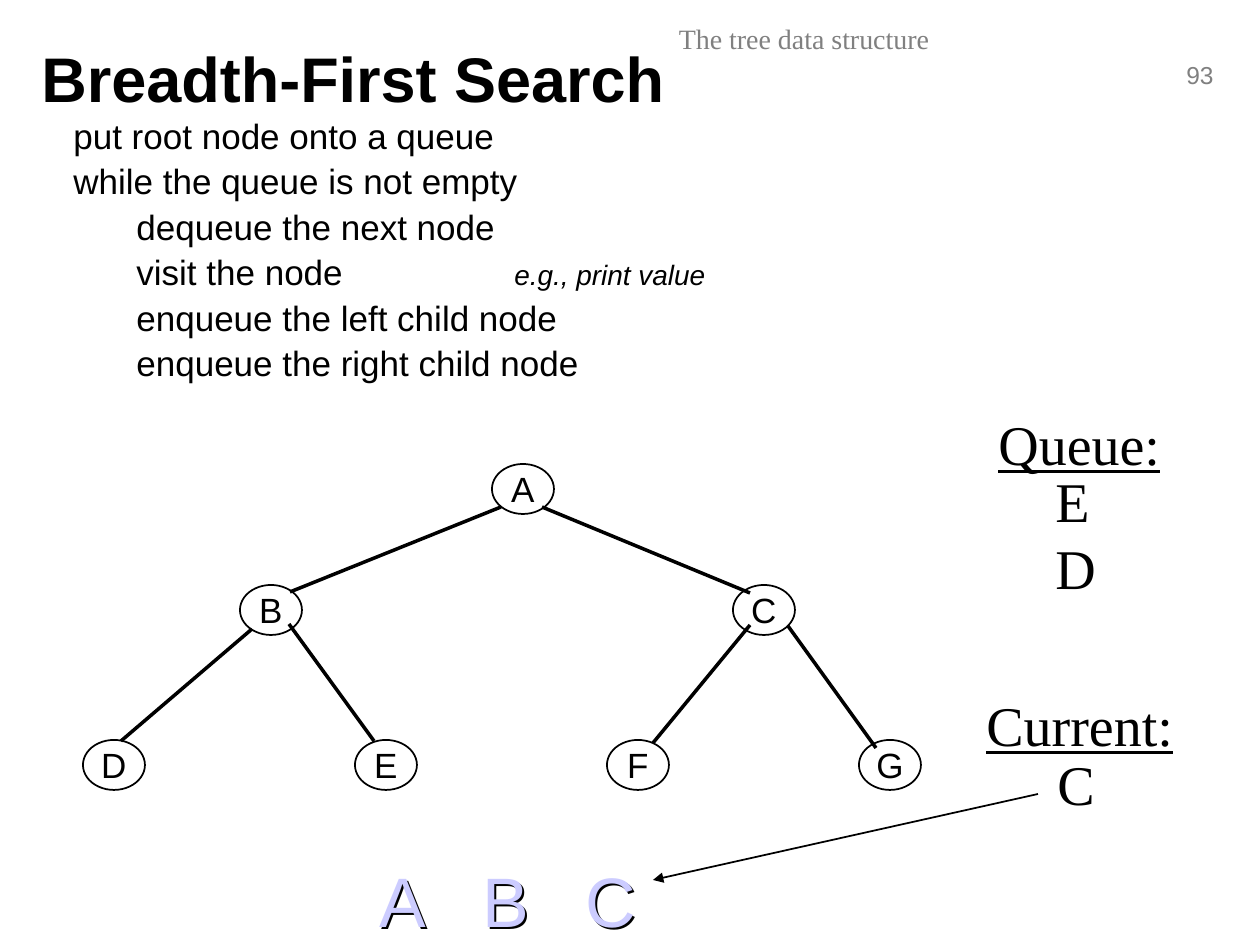
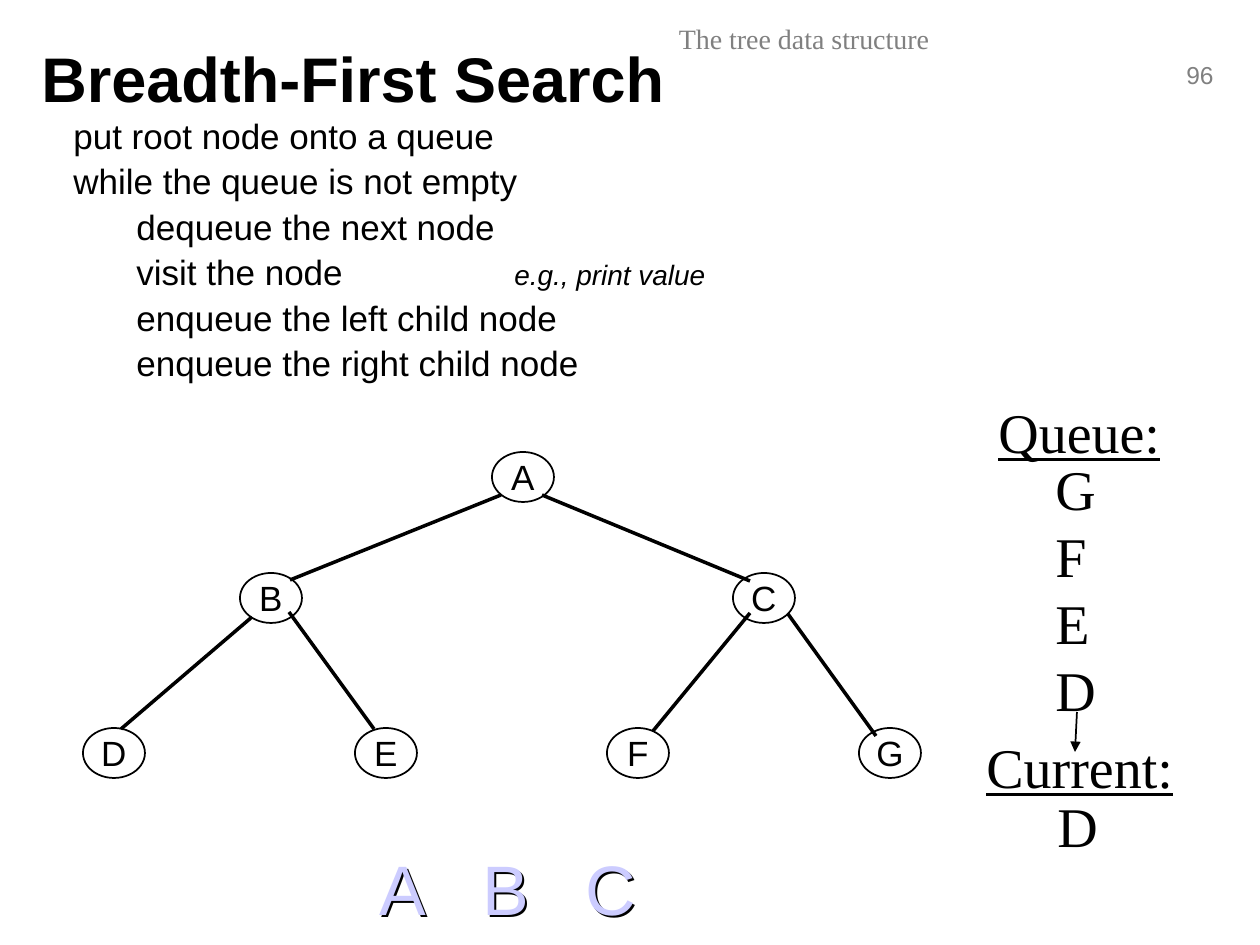
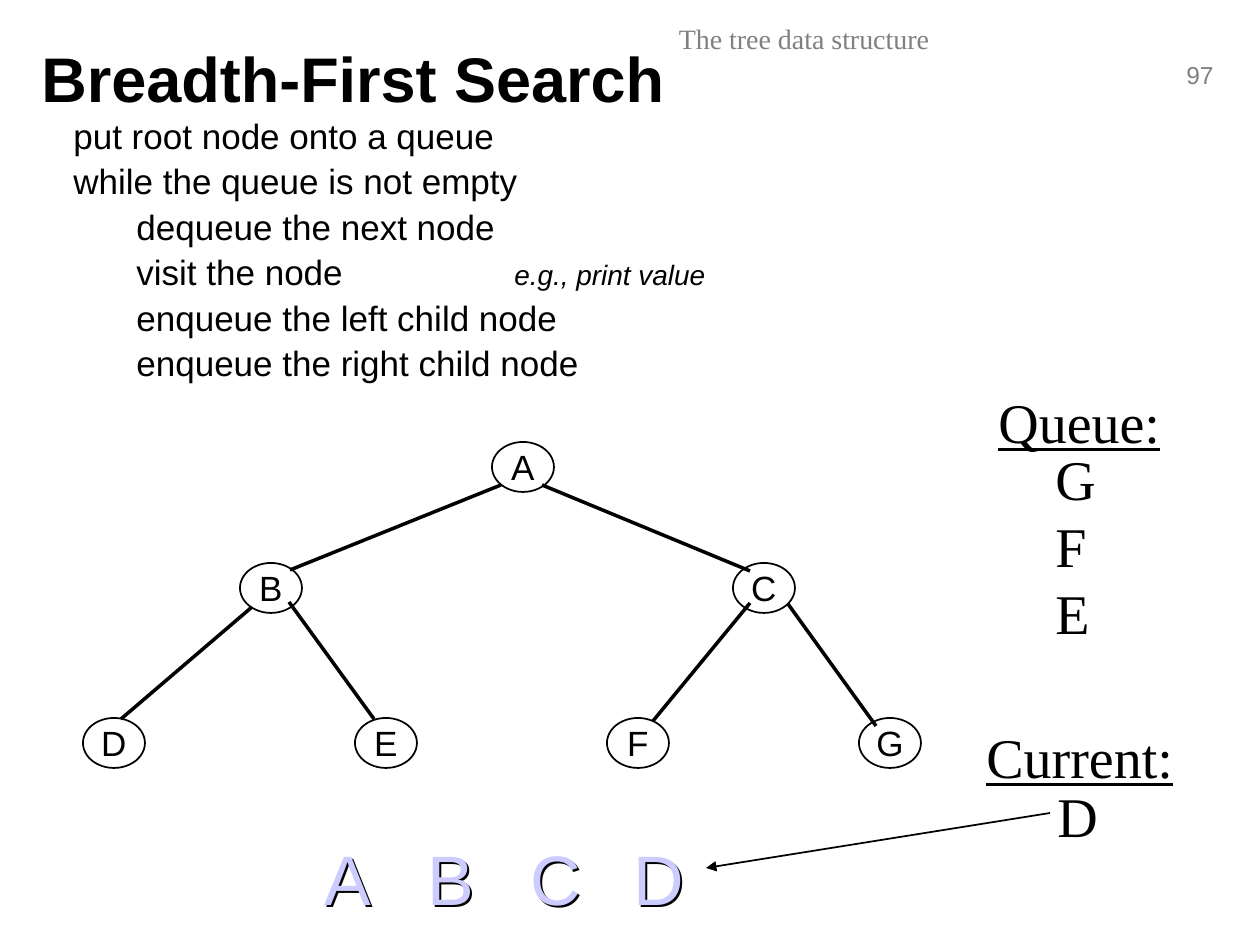
from lxml import etree
from pptx import Presentation
from pptx.dml.color import RGBColor
from pptx.enum.shapes import MSO_CONNECTOR, MSO_SHAPE
from pptx.enum.text import MSO_ANCHOR, MSO_AUTO_SIZE, PP_ALIGN
from pptx.oxml.ns import qn
from pptx.util import Pt

PX = 914400 / 126
COLORS = {"ink": "000000", "paper": "FFFFFF", "muted": "808080", "visited": "CCCCFF"}
SANS, SERIF = "Arial", "Times New Roman"
STRAIGHT = MSO_CONNECTOR.STRAIGHT
ELLIPSE = MSO_SHAPE.OVAL
LEFT, CENTER, RIGHT = PP_ALIGN.LEFT, PP_ALIGN.CENTER, PP_ALIGN.RIGHT
TOP, MIDDLE = MSO_ANCHOR.TOP, MSO_ANCHOR.MIDDLE
GROW = MSO_AUTO_SIZE.SHAPE_TO_FIT_TEXT

NODE_WIDTH, NODE_HEIGHT = 62, 50
LEVELS = (0, 121, 276)
NODES = {
    "A": (492, 0), "B": (240, 1), "C": (733, 1),
    "D": (83, 2), "E": (355, 2), "F": (607, 2), "G": (859, 2),
}
EDGES = (
    ((501, 43), (290, 128)),
    ((542, 43), (750, 129)),
    ((252, 165), (121, 277)),
    ((750, 161), (653, 279)),
    ((788, 162), (876, 284)),
    ((289, 160), (374, 277)),
)
INDENT, TAB_SIZE = 63, 126
VISITED_PITCH = 103
PSEUDOCODE = (
    (1, "put root node onto a queue", ""),
    (1, "while the queue is not empty", ""),
    (2, "dequeue the next node", ""),
    (2, "visit the node\t\t", "e.g., print value"),
    (2, "enqueue the left child node", ""),
    (2, "enqueue the right child node", ""),
)
STEPS = (
    {"page": "93", "tree_top": 464, "queue": "ED", "current": "C", "current_top": 684,
     "visited": "ABC", "visited_box": (367, 286), "arrow": ((1038, 794), (653, 880))},
    {"page": "96", "tree_top": 452, "queue": "GFED", "current": "D", "current_top": 726,
     "visited": "ABC", "visited_box": (367, 286), "arrow": ((1077, 712), (1075, 752))},
    {"page": "97", "tree_top": 442, "queue": "GFE", "current": "D", "current_top": 716,
     "visited": "ABCD", "visited_box": (312, 394), "arrow": ((1050, 813), (706, 868))},
)


def emu(px):
    return round(px * PX)


def rgb(name):
    return RGBColor.from_string(COLORS[name])


def add_run(paragraph, text, size, font=SANS, color="ink", bold=False, italic=False, underline=False):
    run = paragraph.add_run()
    run.text = text
    run.font.size = Pt(size)
    run.font.name = font
    run.font.bold = bold
    run.font.italic = italic
    run.font.underline = underline
    run.font.color.rgb = rgb(color)


def add_box(slide, box, wrap=False, anchor=TOP):
    text_box = slide.shapes.add_textbox(*map(emu, box))
    frame = text_box.text_frame
    frame.word_wrap = wrap
    frame.vertical_anchor = anchor
    if not wrap:
        frame.auto_size = GROW
    return text_box


def add_text(slide, box, text, size, align=LEFT, wrap=False, anchor=TOP, **style):
    paragraph = add_box(slide, box, wrap, anchor).text_frame.paragraphs[0]
    paragraph.alignment = align
    add_run(paragraph, text, size, **style)


def add_line(slide, start, end, width, arrow=False):
    line = slide.shapes.add_connector(STRAIGHT, *map(emu, (*start, *end)))
    line.line.color.rgb = rgb("ink")
    line.line.width = Pt(width)
    if arrow:
        etree.SubElement(line.line._get_or_add_ln(), qn("a:tailEnd"), type="triangle")
    etree.SubElement(line._element.spPr, qn("a:effectLst"))


def add_node(slide, letter, left, top):
    node = slide.shapes.add_shape(ELLIPSE, *map(emu, (left, top, NODE_WIDTH, NODE_HEIGHT)))
    node.shadow.inherit = False
    node.fill.solid()
    node.fill.fore_color.rgb = rgb("paper")
    node.line.color.rgb = rgb("ink")
    node.line.width = Pt(1)
    frame = node.text_frame
    frame.margin_left = frame.margin_right = frame.margin_top = frame.margin_bottom = 0
    frame.word_wrap = False
    frame.vertical_anchor = MIDDLE
    frame.paragraphs[0].alignment = CENTER
    add_run(frame.paragraphs[0], letter, 20)


def add_tree(slide, tree_top):
    for letter, (left, level) in NODES.items():
        add_node(slide, letter, left, tree_top + LEVELS[level])
    for (x1, y1), (x2, y2) in EDGES:
        add_line(slide, (x1, tree_top + y1), (x2, tree_top + y2), 2)


def add_pseudocode(slide):
    frame = add_box(slide, (-2, 108, 728, 284)).text_frame
    for index, (level, instruction, remark) in enumerate(PSEUDOCODE):
        paragraph = frame.add_paragraph() if index else frame.paragraphs[0]
        paragraph.level = level
        properties = paragraph._p.get_or_add_pPr()
        properties.set("marL", str(emu(INDENT * level)))
        properties.set("indent", "0")
        properties.set("defTabSz", str(emu(TAB_SIZE)))
        if index:
            paragraph.space_before = Pt(2)
        add_run(paragraph, instruction, 20)
        if remark:
            add_run(paragraph, remark, 16, italic=True)


def add_queue(slide, tree_top, letters):
    add_text(slide, (986, tree_top - 61, 189, 81), "Queue:", 32, font=SERIF, underline=True)
    frame = add_box(slide, (1043, tree_top - 4, 67, 13 + 67 * len(letters))).text_frame
    for index, letter in enumerate(letters):
        paragraph = frame.add_paragraph() if index else frame.paragraphs[0]
        add_run(paragraph, letter, 32, font=SERIF)


def add_current(slide, top, letter):
    add_text(slide, (974, top, 213, 81), "Current:", 32, font=SERIF, underline=True)
    add_text(slide, (1045, top + 59, 67, 81), letter, 32, font=SERIF)


def add_visited(slide, left, top, width, letters):
    text_box = add_box(slide, (left, top, width, 96), wrap=True)
    effects = etree.SubElement(text_box._element.spPr, qn("a:effectLst"))
    shadow = etree.SubElement(effects, qn("a:outerShdw"), dist=str(emu(3)), dir="2700000")
    etree.SubElement(shadow, qn("a:srgbClr"), val=COLORS["ink"])
    paragraph = text_box.text_frame.paragraphs[0]
    stops = etree.SubElement(paragraph._p.get_or_add_pPr(), qn("a:tabLst"))
    for column in range(1, len(letters)):
        etree.SubElement(stops, qn("a:tab"), pos=str(emu(VISITED_PITCH * column)), algn="l")
    add_run(paragraph, "\t".join(letters), 40, color="visited")


def add_header(slide, page):
    add_text(slide, (1171, 54, 55, 42), page, 14, align=RIGHT, color="muted")
    add_text(slide, (402, 15, 804, 50), "The tree data structure", 16,
             align=CENTER, wrap=True, font=SERIF, color="muted")
    add_text(slide, (29, 19, 1012, 117), "Breadth-First Search", 36,
             wrap=True, anchor=MIDDLE, bold=True)


def add_step(slide, step):
    tree_top = step["tree_top"]
    visited_left, visited_width = step["visited_box"]
    add_header(slide, step["page"])
    add_tree(slide, tree_top)
    add_queue(slide, tree_top, step["queue"])
    add_current(slide, step["current_top"], step["current"])
    add_visited(slide, visited_left, tree_top + 387, visited_width, step["visited"])
    add_line(slide, *step["arrow"], 1, arrow=True)
    add_pseudocode(slide)


def main():
    deck = Presentation()
    deck.slide_width, deck.slide_height = emu(1260), emu(945)
    blank = deck.slide_layouts[6]
    for step in STEPS:
        add_step(deck.slides.add_slide(blank), step)
    deck.save("out.pptx")


if __name__ == "__main__":
    main()
